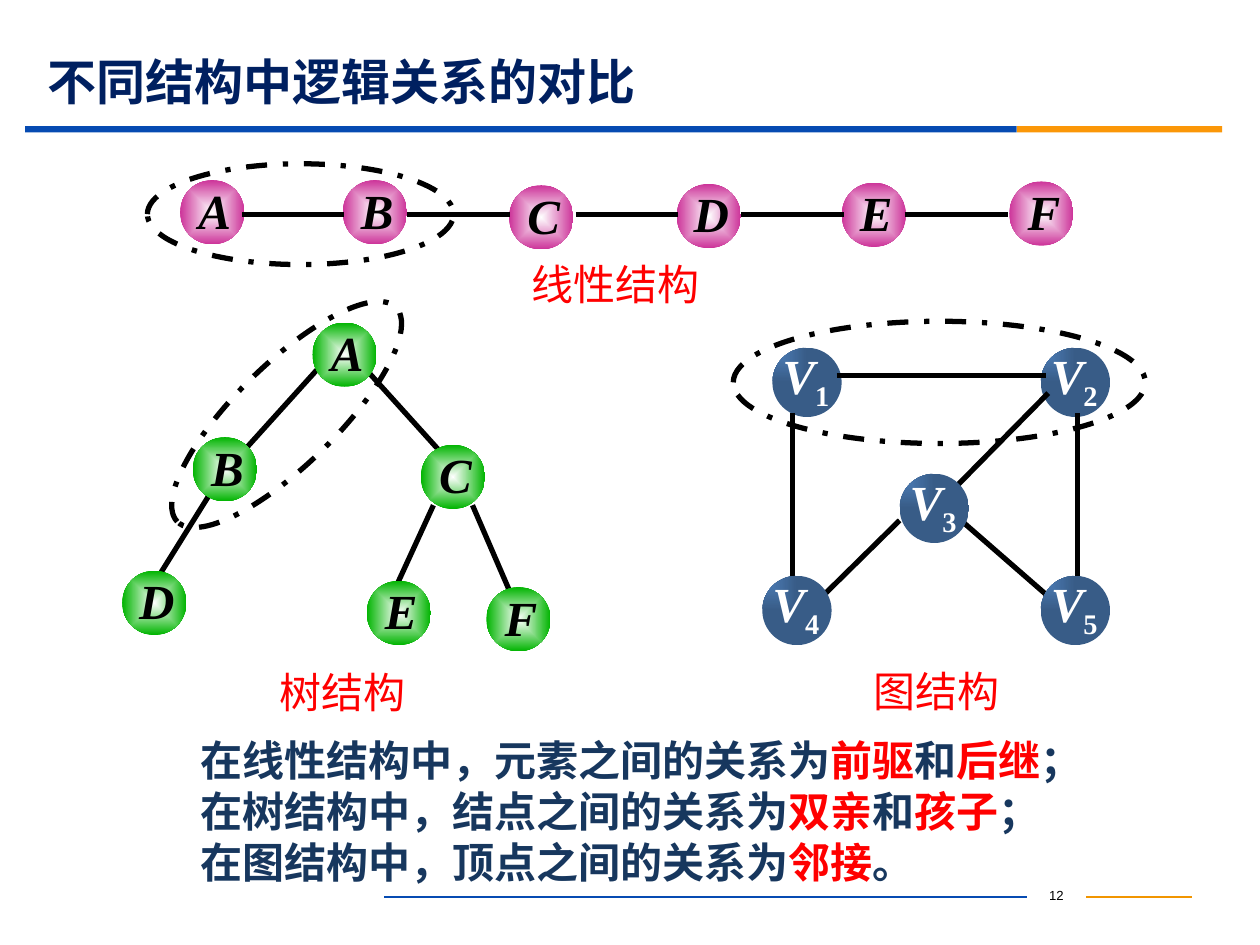
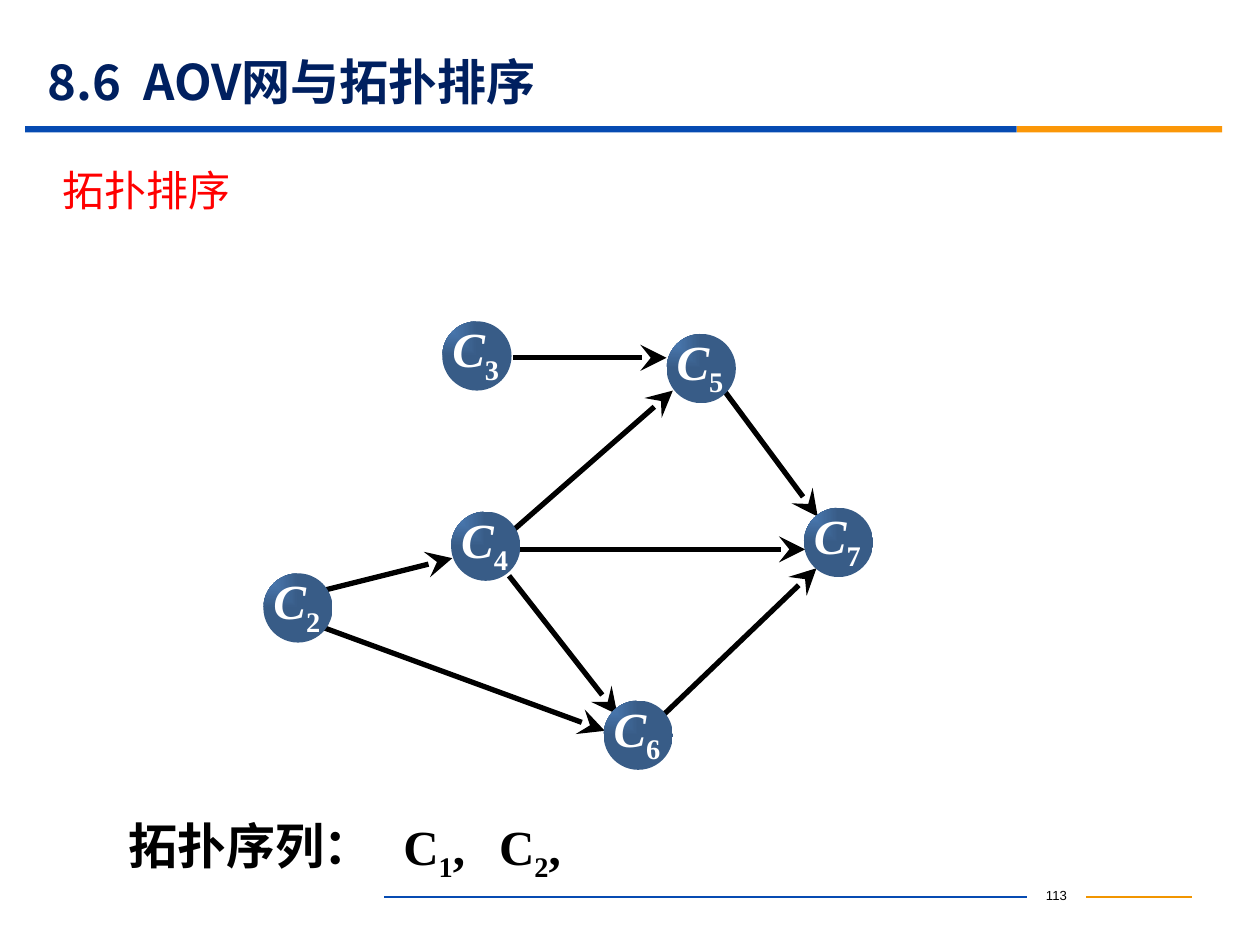
"""Build two slides that compare linear, tree and graph structures and show a topological sort."""
from dataclasses import dataclass

from lxml.etree import SubElement
from pptx import Presentation
from pptx.dml.color import RGBColor as RGB
from pptx.enum.dml import MSO_LINE as Dash
from pptx.enum.shapes import MSO_CONNECTOR as Link, MSO_SHAPE as Kind
from pptx.enum.text import MSO_ANCHOR as Anchor, MSO_AUTO_SIZE as Fit, PP_ALIGN as Align
from pptx.oxml import parse_xml
from pptx.oxml.ns import nsdecls, qn
from pptx.util import Pt

PX = 9144


@dataclass(frozen=True)
class Theme:
    head: str = "002060"
    body: str = "17375E"
    hot: str = "FF0000"
    ink: str = "000000"
    white: str = "FFFFFF"
    blue: str = "064BB2"
    gold: str = "FB9708"
    thin: str = "F19500"
    rose: str = "CC3399"
    lime: str = "00B400"
    navy: str = "4F81BD"
    sans: str = "Noto Sans CJK SC"
    serif: str = "Times New Roman"
    small: str = "Arial"
    big: int = 28
    mid: int = 24
    foot: float = 7.5
    bold: float = 3
    hair: float = 0.75


theme = Theme()


def write(box, lines, size, tint, face=theme.sans, bold=False, ital=False,
          align=Align.LEFT, odd="hot", pad=None, pitch=None, wrap=True):
    """Fill a box; every second run of a line is set off as hot or sub."""
    frame = box.text_frame
    frame.word_wrap = wrap
    if pad:
        (frame.margin_left, frame.margin_top,
         frame.margin_right, frame.margin_bottom) = [n * PX for n in pad]
    for i, line in enumerate(lines):
        para = frame.add_paragraph() if i else frame.paragraphs[0]
        para.alignment = align
        if pitch:
            para.line_spacing = Pt(pitch)
        font = para.font
        font.name, font.size, font.bold, font.italic = face, Pt(size), bold, ital
        font.color.rgb = RGB.from_string(tint)
        for j, text in enumerate(line):
            run = para.add_run()
            run.text = text
            if j % 2 and odd == "hot":
                run.font.color.rgb = RGB.from_string(theme.hot)
            elif j % 2:
                run.font.italic = False
                run._r.get_or_add_rPr().set("baseline", "-25000")
    for latin in list(box.element.iter(qn("a:latin"))):
        latin.addnext(parse_xml(f'<a:ea {nsdecls("a")} typeface="{theme.sans}"/>'))


def join(shapes, ends, tint, width, arrow=False):
    """Draw a straight line, with an arrowhead on request."""
    line = shapes.add_connector(Link.STRAIGHT, *[n * PX for n in ends])
    line.line.color.rgb = RGB.from_string(tint)
    line.line.width = Pt(width)
    props = line.element.spPr
    if arrow:
        SubElement(props.find(qn("a:ln")), qn("a:tailEnd"), type="stealth", w="lg", len="lg")
    SubElement(props, qn("a:effectLst"))


glow = ('<a:gradFill {ns} rotWithShape="1"><a:gsLst><a:gs pos="0"><a:srgbClr val="{near}"/></a:gs>'
        '<a:gs pos="100000"><a:srgbClr val="{far}">{shade}</a:srgbClr></a:gs></a:gsLst>'
        '<a:path path="{path}"><a:fillToRect {focus}/></a:path></a:gradFill>')
ball = dict(near=theme.white, shade="", path="shape", focus='l="50000" t="50000" r="50000" b="50000"')
cube = dict(near=theme.navy, shade='<a:shade val="46275"/>', path="rect", focus='r="100000" b="100000"')
looks = {
    "rose": (51, (6, -4, 43, 67), (0, 4, 0, 0), theme.ink, dict(ball, far=theme.rose)),
    "lime": (51, (6, -4, 43, 67), (0, 4, 0, 0), theme.ink, dict(ball, far=theme.lime)),
    "navy": (55, (7, -5, 51, 65), (1, 3, 0, 1), theme.white, dict(cube, far=theme.navy)),
}

deck = [
    dict(
        title="不同结构中逻辑关系的对比", number="12", arrow=False,
        under=[
            ("rose", "A", 143, 143), ("rose", "B", 272, 143), ("rose", "C", 404, 147),
            ("rose", "D", 537, 146), ("rose", "E", 668, 145), ("rose", "F", 801, 144),
            ("navy", "V1", 613, 276), ("navy", "V2", 826, 276),
        ],
        edges=[
            (192, 170, 273, 170), (323, 170, 405, 170), (457, 170, 538, 170),
            (588, 170, 670, 170), (718, 170, 800, 170),
            (252, 293, 196, 355), (293, 296, 349, 358), (166, 393, 128, 454),
            (344, 401, 316, 462), (375, 401, 404, 468),
            (664, 298, 830, 298), (714, 413, 651, 475), (855, 328, 855, 463),
            (832, 312, 760, 385), (765, 415, 835, 476), (629, 328, 629, 460),
        ],
        over=[
            ("lime", "A", 248, 256), ("lime", "B", 153, 347), ("lime", "C", 334, 353),
            ("lime", "D", 97, 453), ("lime", "E", 291, 461), ("lime", "F", 386, 466),
            ("navy", "V3", 714, 376), ("navy", "V4", 605, 457), ("navy", "V5", 826, 457),
        ],
        rings=[(117, 130, 243, 80, 0), (106, 289, 243, 80, 315.6), (582, 255, 327, 97, 0)],
        notes=[
            ((149, 578, 811, 131), [
                ["在线性结构中，元素之间的关系为", "前驱", "和", "后继", "；"],
                ["在树结构中，结点之间的关系为", "双亲", "和", "孩子", "；"],
                ["在图结构中，顶点之间的关系为", "邻接", "。"],
            ], dict(size=theme.mid, tint=theme.body, bold=True, pitch=29)),
        ] + [
            ((x, y, 277, 51), [[text]], dict(size=theme.mid, tint=theme.hot, align=Align.CENTER))
            for text, x, y in [("线性结构", 350, 200), ("树结构", 133, 524), ("图结构", 605, 523)]
        ],
    ),
    dict(
        title="8.6  AOV网与拓扑排序", number="113", arrow=True,
        under=[],
        edges=[
            (251, 496, 480, 580), (259, 468, 359, 443), (407, 284, 529, 284),
            (406, 422, 534, 310), (404, 457, 490, 567), (409, 436, 639, 436),
            (527, 567, 648, 451), (574, 309, 649, 410),
        ],
        over=[
            ("navy", "C2", 209, 455), ("navy", "C3", 351, 255), ("navy", "C4", 358, 406),
            ("navy", "C6", 479, 556), ("navy", "C5", 529, 265), ("navy", "C7", 638, 403),
        ],
        rings=[],
        notes=[
            ((40, 126, 651, 50), [["拓扑排序"]], dict(size=theme.mid, tint=theme.hot)),
            ((92, 642, 240, 57), [["拓扑序列："]],
             dict(size=theme.big, tint=theme.ink, face=theme.serif, bold=True)),
        ] + [
            ((x, 643, 81, 57), [["C", sub, ", "]],
             dict(size=theme.big, tint=theme.ink, face=theme.serif, bold=True,
                  align=Align.CENTER, odd="sub", wrap=False))
            for sub, x in [("1", 309), ("2", 385)]
        ],
    ),
]

show = Presentation()
show.slide_width, show.slide_height = 1000 * PX, 750 * PX

for page in deck:
    shapes = show.slides.add_slide(show.slide_layouts[5]).shapes

    title = shapes.title
    title.left, title.top, title.width, title.height = [n * PX for n in (28, 43, 900, 43)]
    title.text_frame.auto_size = Fit.NONE
    title.text_frame.vertical_anchor = Anchor.MIDDLE
    write(title, [[page["title"]]], theme.big, theme.head, bold=True)

    for left, width, tint in [(20, 787, theme.blue), (807, 163, theme.gold)]:
        band = shapes.add_shape(Kind.RECTANGLE, left * PX, 100 * PX, width * PX, 5 * PX)
        band.shadow.inherit = False
        band.fill.solid()
        band.fill.fore_color.rgb = RGB.from_string(tint)
        band.line.fill.background()
    join(shapes, (862, 712, 946, 712), theme.thin, theme.hair)
    join(shapes, (305, 712, 815, 712), theme.blue, theme.hair)
    foot = shapes.add_textbox(815 * PX, 699 * PX, 47 * PX, 25 * PX)
    write(foot, [[page["number"]]], theme.foot, theme.ink, theme.small, align=Align.CENTER)

    for area, lines, style in page["notes"]:
        write(shapes.add_textbox(*[n * PX for n in area]), lines, **style)

    for layer in ("under", "edges", "over"):
        if layer == "edges":
            for ends in page["edges"]:
                join(shapes, ends, theme.ink, theme.bold, page["arrow"])
            continue
        for look, name, left, top in page[layer]:
            side, (dx, dy, width, height), pad, tint, fill = looks[look]
            disc = shapes.add_shape(Kind.OVAL, left * PX, top * PX, side * PX, side * PX)
            disc.shadow.inherit = False
            disc.line.fill.background()
            disc.fill.background()
            props = disc.element.spPr
            props.replace(props.find(qn("a:noFill")), parse_xml(glow.format(ns=nsdecls("a"), **fill)))
            tag = shapes.add_textbox((left + dx) * PX, (top + dy) * PX, width * PX, height * PX)
            write(tag, [list(name)], theme.big, tint, theme.serif, bold=True, ital=True, odd="sub",
                  align=Align.LEFT if look == "navy" else Align.CENTER, pad=pad)

    for left, top, width, height, turn in page["rings"]:
        ring = shapes.add_shape(Kind.OVAL, left * PX, top * PX, width * PX, height * PX)
        ring.rotation = turn
        ring.shadow.inherit = False
        ring.fill.background()
        ring.line.color.rgb = RGB.from_string(theme.ink)
        ring.line.width = Pt(theme.bold)
        ring.line.dash_style = Dash.DASH_DOT

show.save("out.pptx")
